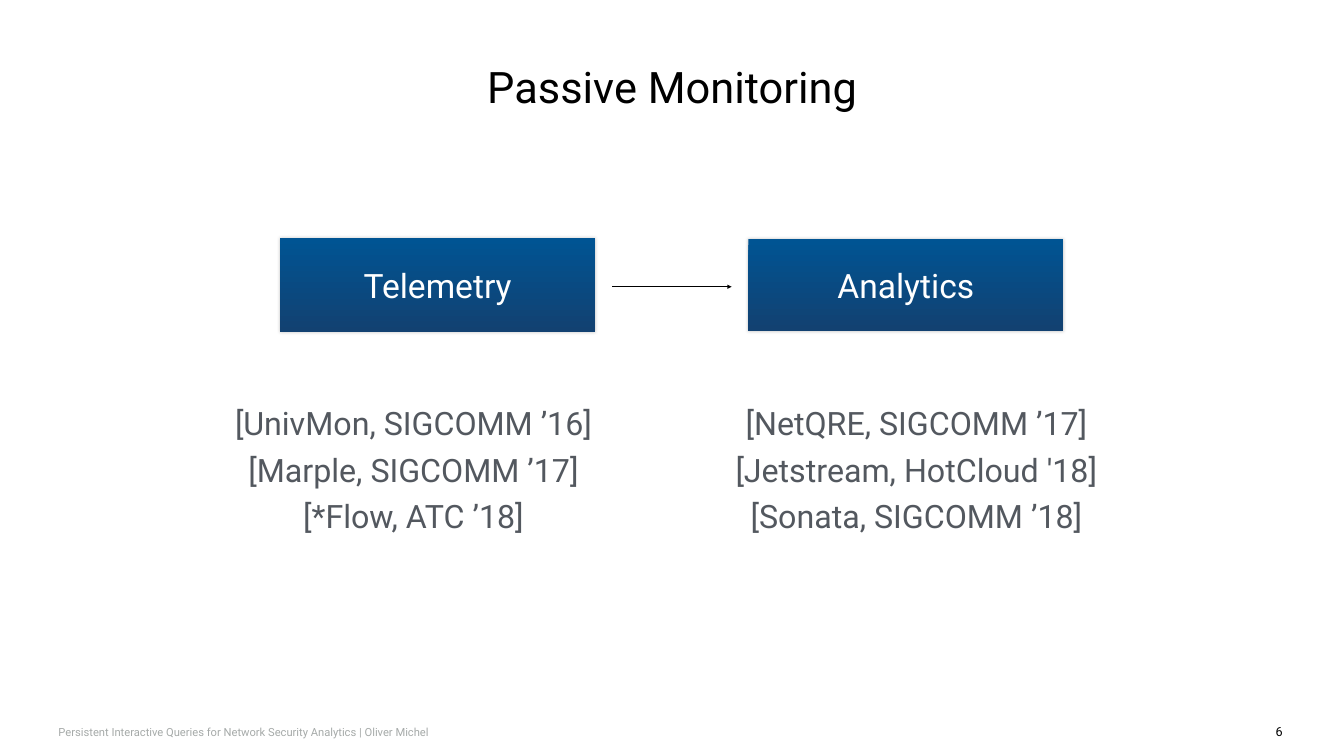
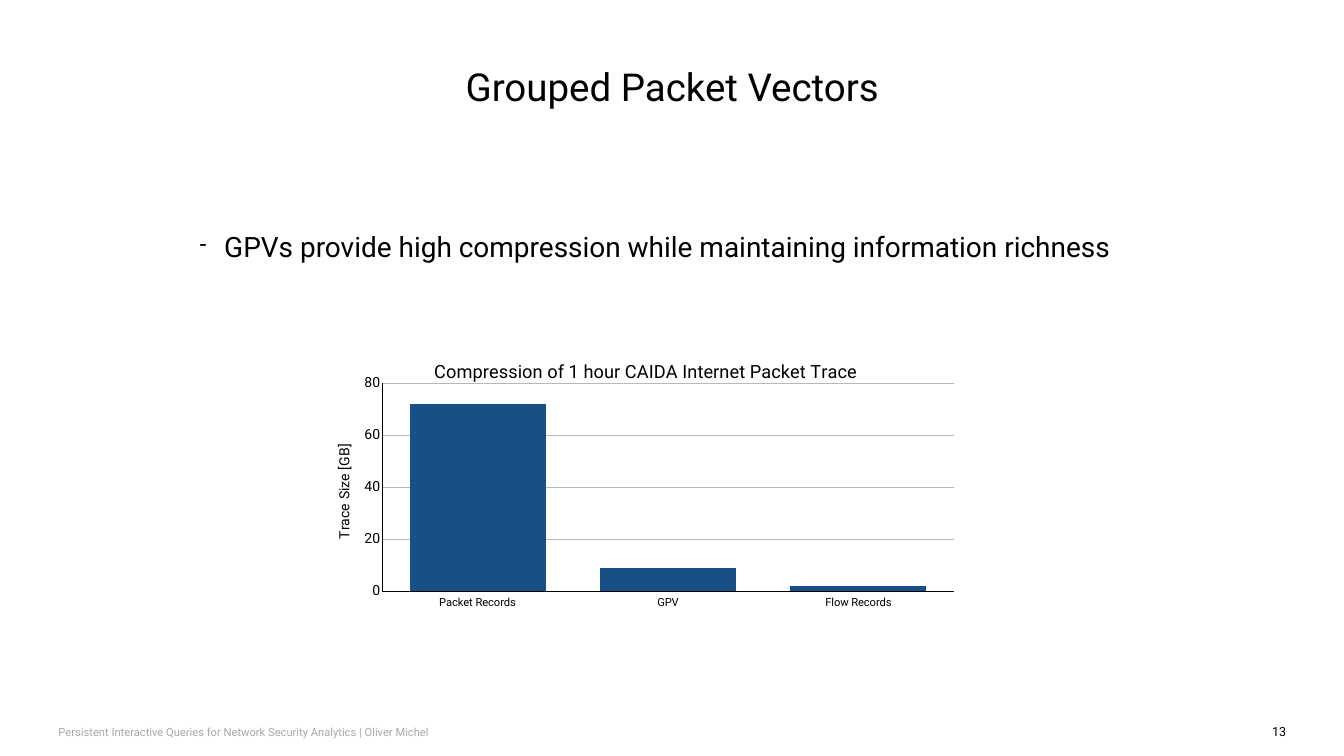
from lxml.etree import SubElement
from pptx import Presentation
from pptx.chart.data import CategoryChartData
from pptx.dml.color import RGBColor
from pptx.enum.chart import XL_CHART_TYPE as ChartType, XL_TICK_LABEL_POSITION as LabelPosition
from pptx.enum.chart import XL_TICK_MARK as TickMark
from pptx.enum.shapes import MSO_CONNECTOR as Connector, MSO_SHAPE as Shape
from pptx.enum.text import MSO_ANCHOR as Anchor, PP_ALIGN as Align
from pptx.oxml.ns import qn
from pptx.util import Inches, Pt

COLORS = {
    "black": "000000", "white": "FFFFFF", "footer": "A6AAA9", "reference": "53585F",
    "box_top": "005493", "box_bottom": "124171", "bar": "174F86", "grid": "B8B8B8",
}
FONT = "Roboto"
FOOTER = "Persistent Interactive Queries for Network Security Analytics | Oliver Michel"


def color(name):
    return RGBColor.from_string(COLORS[name])


def style_font(font, size, color_name="black"):
    font.name, font.size, font.bold = FONT, Pt(size), False
    font.color.rgb = color(color_name)


class Deck:
    """Holds the shared style and the slide being built."""

    def __init__(self):
        self.presentation = Presentation()
        self.presentation.slide_width = Inches(26.67)
        self.presentation.slide_height = Inches(15)
        self.slide = None

    def new_slide(self, title, title_size, number):
        self.slide = self.presentation.slides.add_slide(self.presentation.slide_layouts[6])
        self.text([title], 3.9, 1.12, 18.88, 1.19, title_size)
        self.text([FOOTER], 1.1, 14.33, 11.17, 0.38, 16, "footer", align=Align.LEFT)
        self.text([number], 25.18, 14.31, 0.41, 0.42, 18, anchor=Anchor.TOP, wrap=False)

    def fill_frame(self, frame, lines, size, color_name, align=Align.CENTER,
                   anchor=Anchor.MIDDLE, wrap=True, spacing=None):
        frame.word_wrap = wrap
        frame.vertical_anchor = anchor
        frame.margin_left = frame.margin_right = Inches(0.06)
        frame.margin_top = frame.margin_bottom = Inches(0.06)
        for index, line in enumerate(lines):
            paragraph = frame.add_paragraph() if index else frame.paragraphs[0]
            paragraph.alignment = align
            if spacing:
                paragraph.line_spacing = spacing
            run = paragraph.add_run()
            run.text = line
            style_font(run.font, size, color_name)

    def text(self, lines, left, top, width, height, size, color_name="black", **layout):
        shape = self.slide.shapes.add_textbox(
            Inches(left), Inches(top), Inches(width), Inches(height))
        self.fill_frame(shape.text_frame, lines, size, color_name, **layout)
        return shape

    def bullet(self, line, left, top, width, height, size):
        shape = self.text([line], left, top, width, height, size, align=Align.LEFT)
        properties = shape.text_frame.paragraphs[0]._p.get_or_add_pPr()
        indent = Inches(0.49)
        properties.set("marL", str(indent))
        properties.set("indent", str(-indent))
        SubElement(properties, qn("a:buSzPct"), val="75000")
        SubElement(properties, qn("a:buChar"), char="-")

    def box(self, label, left, top, width, height):
        shape = self.slide.shapes.add_shape(
            Shape.RECTANGLE, Inches(left), Inches(top), Inches(width), Inches(height))
        shape.fill.gradient()
        shape.fill.gradient_angle = 270
        for stop, name in zip(shape.fill.gradient_stops, ("box_top", "box_bottom")):
            stop.color.rgb = color(name)
        shape.line.fill.background()
        # Soft shadow around the box
        shape.shadow.inherit = False
        effects = shape.element.spPr.find(qn("a:effectLst"))
        shadow = SubElement(effects, qn("a:outerShdw"), blurRad=str(Pt(5)), dist="0",
                            dir="5400000", rotWithShape="0")
        tint = SubElement(shadow, qn("a:srgbClr"), val=COLORS["black"])
        SubElement(tint, qn("a:alpha"), val="20000")
        self.fill_frame(shape.text_frame, [label], 48, "white")

    def arrow(self, start_x, end_x, y):
        connector = self.slide.shapes.add_connector(
            Connector.STRAIGHT, Inches(start_x), Inches(y), Inches(end_x), Inches(y))
        connector.line.color.rgb = color("black")
        connector.line.width = Pt(2)
        properties = connector.element.spPr
        SubElement(properties.find(qn("a:ln")), qn("a:tailEnd"), type="triangle")
        SubElement(properties, qn("a:effectLst"))

    def chart_title(self, owner, line, size):
        paragraph = owner.text_frame.paragraphs[0]
        run = paragraph.add_run()
        run.text = line
        style_font(run.font, size)

    def column_chart(self, title, value_title, values, left, top, width, height, plot_area):
        data = CategoryChartData()
        data.categories = list(values)
        data.add_series("Series 1", list(values.values()))
        chart = self.slide.shapes.add_chart(
            ChartType.COLUMN_CLUSTERED, Inches(left), Inches(top),
            Inches(width), Inches(height), data).chart
        style_font(chart.font, 10)
        chart.has_legend = False
        chart.has_title = True
        self.chart_title(chart.chart_title, title, 26)
        chart.chart_title.include_in_layout = True

        # Bars
        plot = chart.plots[0]
        plot.vary_by_categories = False
        plot.gap_width, plot.overlap = 40, -10
        fill = plot.series[0].format.fill
        fill.solid()
        fill.fore_color.rgb = color("bar")

        # Axes
        for axis, size in ((chart.category_axis, 16), (chart.value_axis, 20)):
            axis.major_tick_mark = axis.minor_tick_mark = TickMark.NONE
            style_font(axis.tick_labels.font, size)
            axis.format.line.color.rgb = color("black")
            axis.format.line.width = Pt(1)
        chart.category_axis.tick_label_position = LabelPosition.LOW
        value_axis = chart.value_axis
        value_axis.minimum_scale, value_axis.maximum_scale = 0, 80
        value_axis.major_unit = 20
        value_axis.has_major_gridlines = True
        value_axis.major_gridlines.format.line.color.rgb = color("grid")
        value_axis.major_gridlines.format.line.width = Pt(1)
        value_axis.has_title = True
        self.chart_title(value_axis.axis_title, value_title, 20)
        body = chart.element.xpath("//c:valAx/c:title//a:bodyPr")[0]
        body.set("rot", "-5400000")
        body.set("vert", "horz")

        # Inner plot area as fractions of the chart
        area = chart.element.xpath("//c:plotArea")[0]
        for old_layout in area.findall(qn("c:layout")):
            area.remove(old_layout)
        layout = SubElement(area, qn("c:layout"))
        area.insert(0, layout)
        manual = SubElement(layout, qn("c:manualLayout"))
        settings = [("layoutTarget", "inner"), ("xMode", "edge"), ("yMode", "edge")]
        settings += zip("xywh", map(str, plot_area))
        for tag, value in settings:
            SubElement(manual, qn(f"c:{tag}"), val=value)


def main():
    deck = Deck()

    # Passive monitoring: two stages with related work below
    deck.new_slide("Passive Monitoring", 62, "6")
    deck.box("Telemetry", 5.56, 4.73, 6.25, 1.86)
    deck.box("Analytics", 14.85, 4.75, 6.25, 1.81)
    deck.arrow(12.15, 14.52, 5.69)
    references = [
        (4.34, 7.73, ["[UnivMon, SIGCOMM ’16]", "[Marple, SIGCOMM ’17]", "[*Flow, ATC ’18]"]),
        (14.38, 7.61, ["[NetQRE, SIGCOMM ’17]", "[Jetstream, HotCloud '18]",
                       "[Sonata, SIGCOMM ’18]"]),
    ]
    for left, width, lines in references:
        deck.text(lines, left, 7.88, width, 2.71, 46, "reference", wrap=False, spacing=1.2)

    # Grouped packet vectors: compression chart
    deck.new_slide("Grouped Packet Vectors", 55, "13")
    deck.bullet("GPVs provide high compression while maintaining information richness",
                3.9, 2.8, 18.87, 4.18, 40)
    deck.column_chart("Compression of 1 hour CAIDA Internet Packet Trace", "Trace Size [GB]",
                      {"Packet Records": 72, "GPV": 9, "Flow Records": 2},
                      6.59, 6.92, 12.46, 5.23, (0.08, 0.13, 0.91, 0.79))

    deck.presentation.save("out.pptx")


if __name__ == "__main__":
    main()
